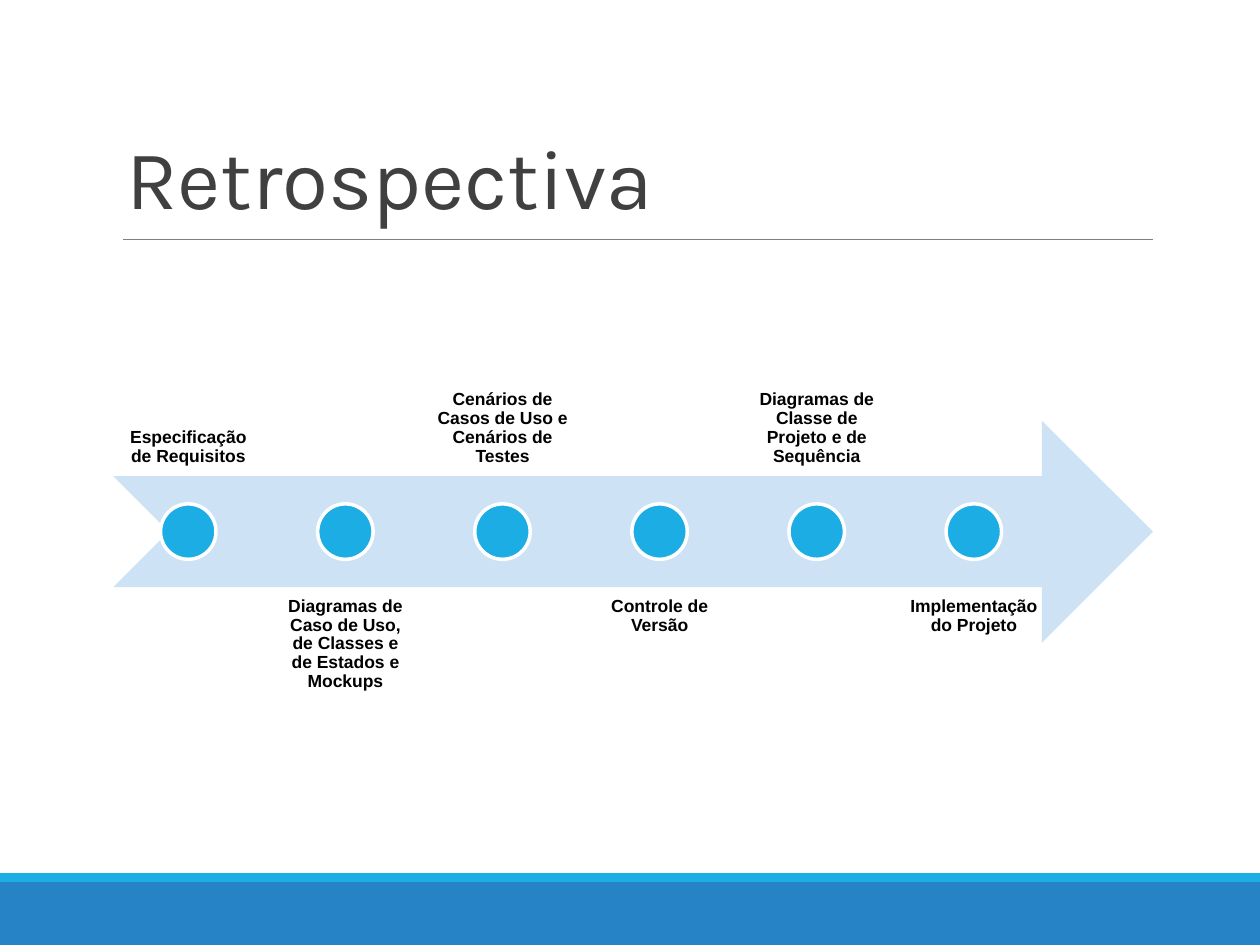
from dataclasses import dataclass

from lxml.etree import SubElement
from pptx import Presentation
from pptx.dml.color import RGBColor
from pptx.enum.shapes import MSO_CONNECTOR, MSO_SHAPE
from pptx.enum.text import MSO_ANCHOR, PP_ALIGN
from pptx.oxml.ns import qn
from pptx.util import Pt


@dataclass(frozen=True)
class Theme:
    accent: str = "1CADE4"
    band: str = "2683C6"
    arrow: str = "CDE3F5"
    rule: str = "7F7F7F"
    title: str = "404040"
    label: str = "000000"
    outline: str = "FFFFFF"
    title_font: str = "Karla"
    label_font: str = "Arial"
    title_size: float = 48
    label_size: float = 10


class SlideBuilder:
    def __init__(self, page, theme):
        self.page = page
        self.theme = theme

    def shape(self, kind, left, top, width, height, fill, outline=None):
        shape = self.page.shapes.add_shape(kind, Pt(left), Pt(top), Pt(width), Pt(height))
        shape.shadow.inherit = False
        shape.fill.solid()
        shape.fill.fore_color.rgb = RGBColor.from_string(fill)
        if outline:
            shape.line.color.rgb = RGBColor.from_string(outline)
            shape.line.width = Pt(2)
        else:
            shape.line.fill.background()

    def rule(self, left, right, top):
        line = self.page.shapes.add_connector(
            MSO_CONNECTOR.STRAIGHT, Pt(left), Pt(top), Pt(right), Pt(top))
        line.line.color.rgb = RGBColor.from_string(self.theme.rule)
        line.line.width = Pt(0.75)
        SubElement(line._element.spPr, qn("a:effectLst"))

    def set_text(self, box, text, font, size, color, anchor, inset, spacing, align, bold=False):
        frame = box.text_frame
        frame.word_wrap = True
        frame.vertical_anchor = anchor
        frame.margin_left = frame.margin_right = Pt(inset)
        frame.margin_top = frame.margin_bottom = Pt(inset)
        para = frame.paragraphs[0]
        para.alignment = align
        para.line_spacing = spacing
        span = para.add_run()
        span.text = text
        span.font.name = font
        span.font.size = Pt(size)
        span.font.bold = bold
        span.font.color.rgb = RGBColor.from_string(color)
        return para

    def title(self, text, left, top, width, height):
        box = self.page.shapes.title
        box.left, box.top, box.width, box.height = Pt(left), Pt(top), Pt(width), Pt(height)
        theme = self.theme
        self.set_text(box, text, theme.title_font, theme.title_size, theme.title,
                      MSO_ANCHOR.BOTTOM, 7.2, 0.85, PP_ALIGN.LEFT)

    def label(self, text, left, top, width, height, anchor):
        box = self.page.shapes.add_textbox(Pt(left), Pt(top), Pt(width), Pt(height))
        theme = self.theme
        para = self.set_text(box, text, theme.label_font, theme.label_size, theme.label,
                             anchor, 5.6, 0.9, PP_ALIGN.CENTER, bold=True)
        para.space_after = Pt(3.5)

    def timeline(self, steps, left, top, width, height):
        self.shape(MSO_SHAPE.NOTCHED_RIGHT_ARROW, left, top, width, height, self.theme.arrow)
        label_width, pitch, dot = 85.6, 89.78, height / 4
        middle = top + height / 2
        for index, text in enumerate(steps):
            label_left = left + index * pitch
            above = index % 2 == 0
            label_top = top - 0.75 * height if above else top + 0.75 * height
            anchor = MSO_ANCHOR.BOTTOM if above else MSO_ANCHOR.TOP
            self.label(text, label_left, label_top, label_width, height, anchor)
            self.shape(MSO_SHAPE.OVAL, label_left + (label_width - dot) / 2,
                       middle - dot / 2, dot, dot, self.theme.accent, self.theme.outline)


def main():
    deck = Presentation()
    deck.slide_width, deck.slide_height = Pt(720), Pt(540)
    page = deck.slides.add_slide(deck.slide_layouts[5])
    theme = Theme()
    builder = SlideBuilder(page, theme)
    builder.shape(MSO_SHAPE.RECTANGLE, 0, 504, 720, 36, theme.band)
    builder.shape(MSO_SHAPE.RECTANGLE, 0, 499, 720, 5, theme.accent)
    builder.rule(70.5, 659, 136.8)
    builder.title("Retrospectiva", 64.8, 22.6, 594, 114.2)
    steps = [
        "Especificação de Requisitos",
        "Diagramas de Caso de Uso, de Classes e de Estados e Mockups",
        "Cenários de Casos de Uso e Cenários de Testes",
        "Controle de Versão",
        "Diagramas de Classe de Projeto e de Sequência",
        "Implementação do Projeto",
    ]
    builder.timeline(steps, 64.8, 240.4, 594, 126.8)
    deck.save("out.pptx")


if __name__ == "__main__":
    main()
